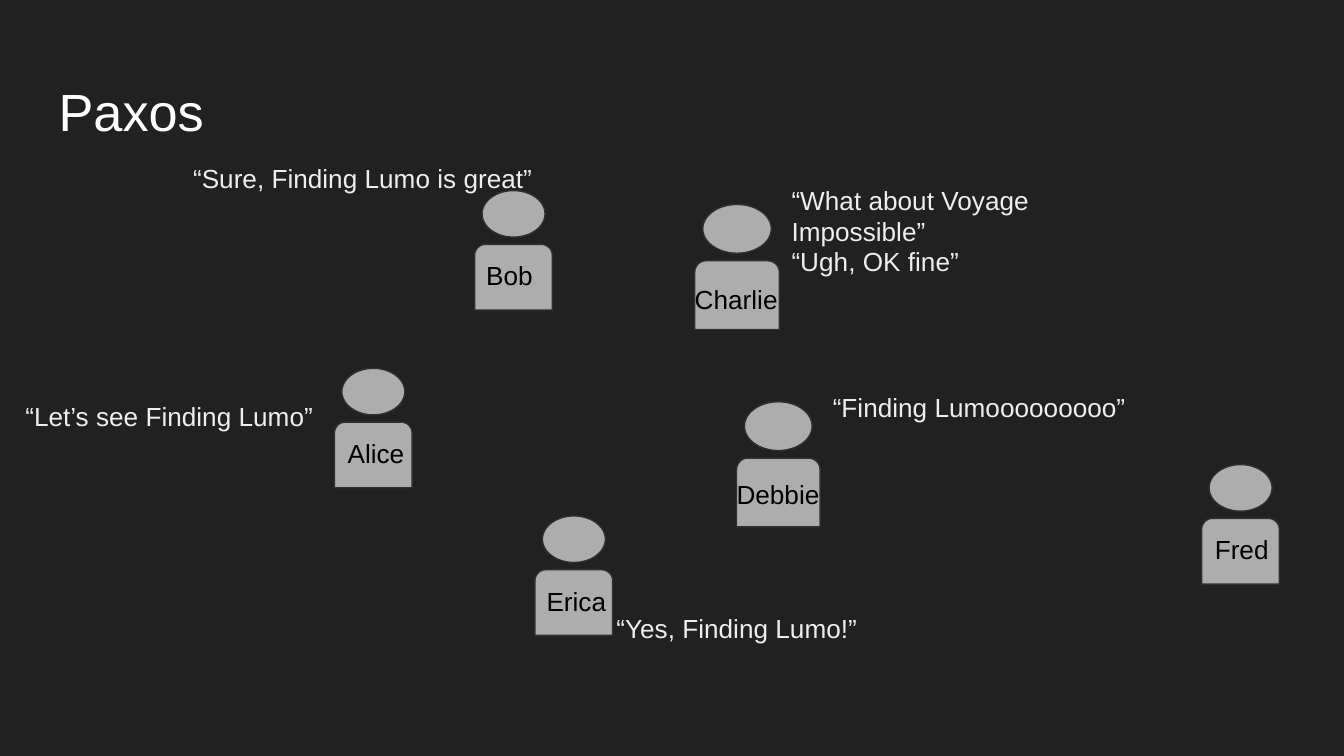
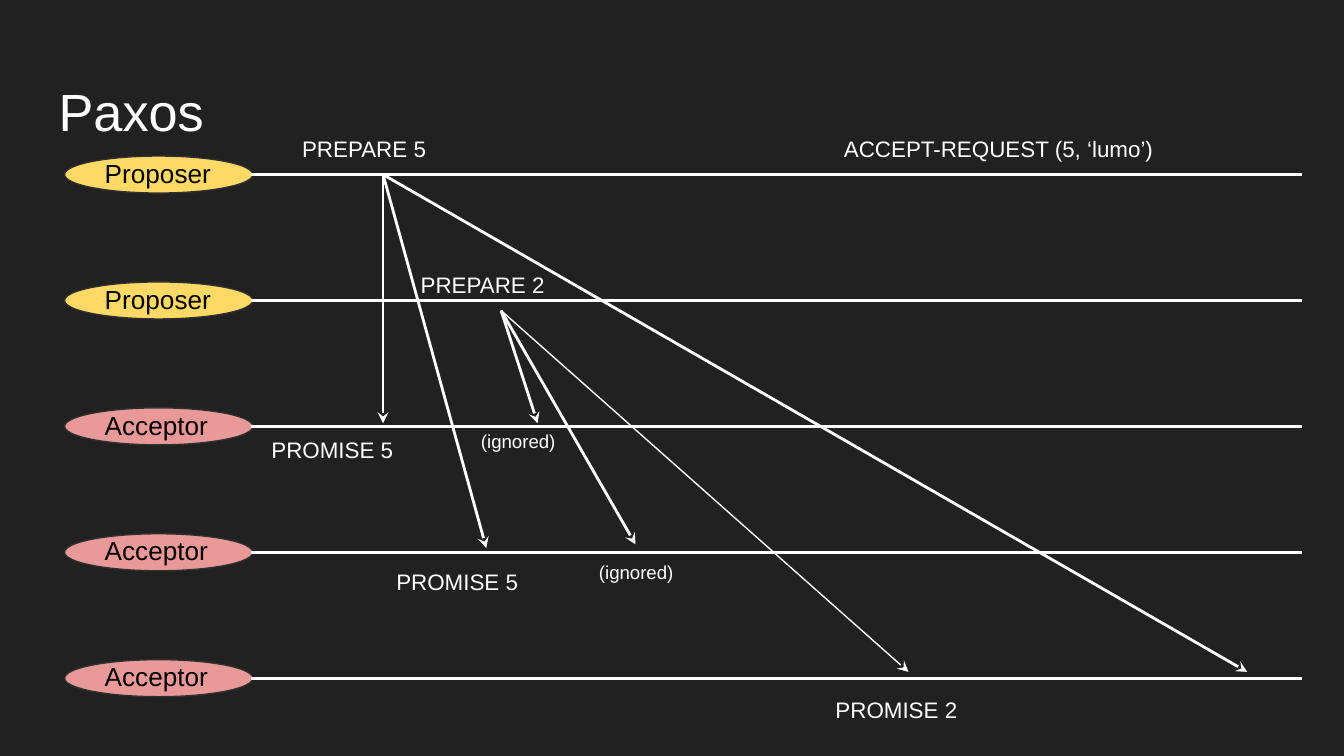
from lxml.etree import SubElement
from pptx import Presentation
from pptx.dml.color import RGBColor
from pptx.enum.shapes import MSO_CONNECTOR, MSO_SHAPE
from pptx.enum.text import MSO_ANCHOR, MSO_AUTO_SIZE, PP_ALIGN
from pptx.oxml.ns import qn
from pptx.util import Cm, Pt

BACKGROUND = RGBColor(0x21, 0x21, 0x21)
WHITE = RGBColor(0xFF, 0xFF, 0xFF)
BLACK = RGBColor(0x00, 0x00, 0x00)
SPEECH = RGBColor(0xEE, 0xEE, 0xEE)
PERSON = RGBColor(0xAD, 0xAD, 0xAD)
OUTLINE = RGBColor(0x30, 0x30, 0x30)
PROPOSER = RGBColor(0xFF, 0xD9, 0x66)
ACCEPTOR = RGBColor(0xEA, 0x99, 0x99)

PEOPLE = [
    ("Alice", 6.32, 7.98, 1.47, 1.24, 0, 0.03),
    ("Bob", 8.97, 4.62, 1.47, 1.24, -0.03, 0.03),
    ("Charlie", 13.13, 4.93, 1.6, 1.3, -0.25, 0.18),
    ("Debbie", 13.92, 8.66, 1.58, 1.3, -0.25, 0.13),
    ("Erica", 10.11, 10.77, 1.47, 1.24, -0.03, 0.05),
    ("Fred", 22.71, 9.8, 1.47, 1.24, 0, 0.03),
]
QUOTES = [
    ("“Let’s see Finding Lumo”", 0.23, 7.32, 6.1),
    ("“Sure, Finding Lumo is great”", 3.4, 2.82, 7.21),
    ("“What about Voyage Impossible”", 14.71, 3.23, 7.21),
    ("“Finding Lumooooooooo”", 15.49, 7.14, 7.21),
    ("“Yes, Finding Lumo!”", 11.4, 11.33, 7.49),
    ("“Ugh, OK fine”", 14.71, 4.39, 4.5),
]
ROLES = [("Proposer", PROPOSER)] * 2 + [("Acceptor", ACCEPTOR)] * 3
FIRST_LANE, LANE_PITCH = 3.3, 2.38
PREPARES = [
    ((7.24, 3.3), [(7.24, 8, 1.5), (9.19, 10.36, 1.5), (23.57, 12.7, 1.5)]),
    ((9.47, 5.87), [(10.16, 8, 1.5), (12.01, 10.29, 1.5), (17.17, 12.7, 0.75)]),
]
MESSAGES = [
    ("PREPARE 5", 5.46, 2.31, 3.56, 12),
    ("PROMISE 5", 4.88, 8, 3.56, 12),
    ("PROMISE 5", 7.24, 10.49, 3.56, 12),
    ("PREPARE 2", 7.7, 4.88, 3.56, 12),
    ("(ignored)", 8.84, 7.87, 1.96, 10),
    ("(ignored)", 11.07, 10.36, 1.96, 10),
    ("ACCEPT-REQUEST (5, ‘lumo’)", 15.7, 2.31, 7.67, 12),
    ("PROMISE 2", 15.54, 12.9, 3.56, 12),
]


class Deck:
    """Hold the shared style and draw elements on the current slide."""

    font = "Arial"
    inset = Cm(0.25)

    def __init__(self):
        self.presentation = Presentation()
        self.presentation.slide_width = Cm(25.4)
        self.presentation.slide_height = Cm(14.29)
        backdrop = self.presentation.slide_master.background.fill
        backdrop.solid()
        backdrop.fore_color.rgb = BACKGROUND
        self.slide = None

    def new_slide(self, heading):
        self.slide = self.presentation.slides.add_slide(self.presentation.slide_layouts[5])
        title = self.slide.shapes.title
        title.left, title.top, title.width, title.height = Cm(0.86), Cm(1.24), Cm(23.67), Cm(1.6)
        self.set_text(title.text_frame, heading, 28, WHITE)

    def set_text(self, frame, words, size, color):
        frame.word_wrap = True
        frame.auto_size = MSO_AUTO_SIZE.NONE
        frame.vertical_anchor = MSO_ANCHOR.TOP
        frame.margin_left = frame.margin_right = self.inset
        frame.margin_top = frame.margin_bottom = self.inset
        paragraph = frame.paragraphs[0]
        paragraph.alignment = PP_ALIGN.LEFT
        run = paragraph.add_run()
        run.text = words
        run.font.name = self.font
        run.font.size = Pt(size)
        run.font.color.rgb = color

    def label(self, words, left, top, width, size=14, color=WHITE):
        box = self.slide.shapes.add_textbox(Cm(left), Cm(top), Cm(width), Cm(0.98))
        self.set_text(box.text_frame, words, size, color)

    def shape(self, preset, left, top, width, height, color):
        outline = self.slide.shapes.add_shape(preset, Cm(left), Cm(top), Cm(width), Cm(height))
        outline.shadow.inherit = False
        outline.fill.solid()
        outline.fill.fore_color.rgb = color
        outline.line.color.rgb = OUTLINE
        outline.line.width = Pt(0.75)

    def line(self, x1, y1, x2, y2, weight=1.5, arrow=False):
        connector = self.slide.shapes.add_connector(
            MSO_CONNECTOR.STRAIGHT, Cm(x1), Cm(y1), Cm(x2), Cm(y2))
        connector.line.color.rgb = WHITE
        connector.line.width = Pt(weight)
        if arrow:
            SubElement(connector.get_or_add_ln(), qn("a:tailEnd"), type="stealth")
        SubElement(connector.element.spPr, qn("a:effectLst"))

    def person(self, name, left, top, width, height, name_dx, name_dy):
        self.shape(MSO_SHAPE.ROUND_2_SAME_RECTANGLE, left, top, width, height, PERSON)
        head_width = 0.81 * width
        self.shape(MSO_SHAPE.OVAL, left + (width - head_width) / 2, top - 0.82 * height,
                   head_width, 0.71 * height, PERSON)
        self.label(name, left + name_dx, top + name_dy, 2.5 if name_dx < -0.1 else 1.65,
                   color=BLACK)

    def lane(self, role, color, axis):
        self.shape(MSO_SHAPE.OVAL, 1.22, axis - 0.35, 3.56, 0.7, color)
        self.label(role, 1.73, axis - 0.58, 2.51, color=BLACK)
        self.line(4.75, axis, 24.61, axis)


def main():
    deck = Deck()

    deck.new_slide("Paxos")
    for person in PEOPLE:
        deck.person(*person)
    for quote in QUOTES:
        deck.label(*quote, color=SPEECH)

    deck.new_slide("Paxos")
    for position, (role, color) in enumerate(ROLES):
        deck.lane(role, color, FIRST_LANE + position * LANE_PITCH)
    for sender, receivers in PREPARES:
        for x, y, weight in receivers:
            deck.line(*sender, x, y, weight, arrow=True)
    for message in MESSAGES:
        deck.label(*message)

    deck.presentation.save("out.pptx")


if __name__ == "__main__":
    main()
